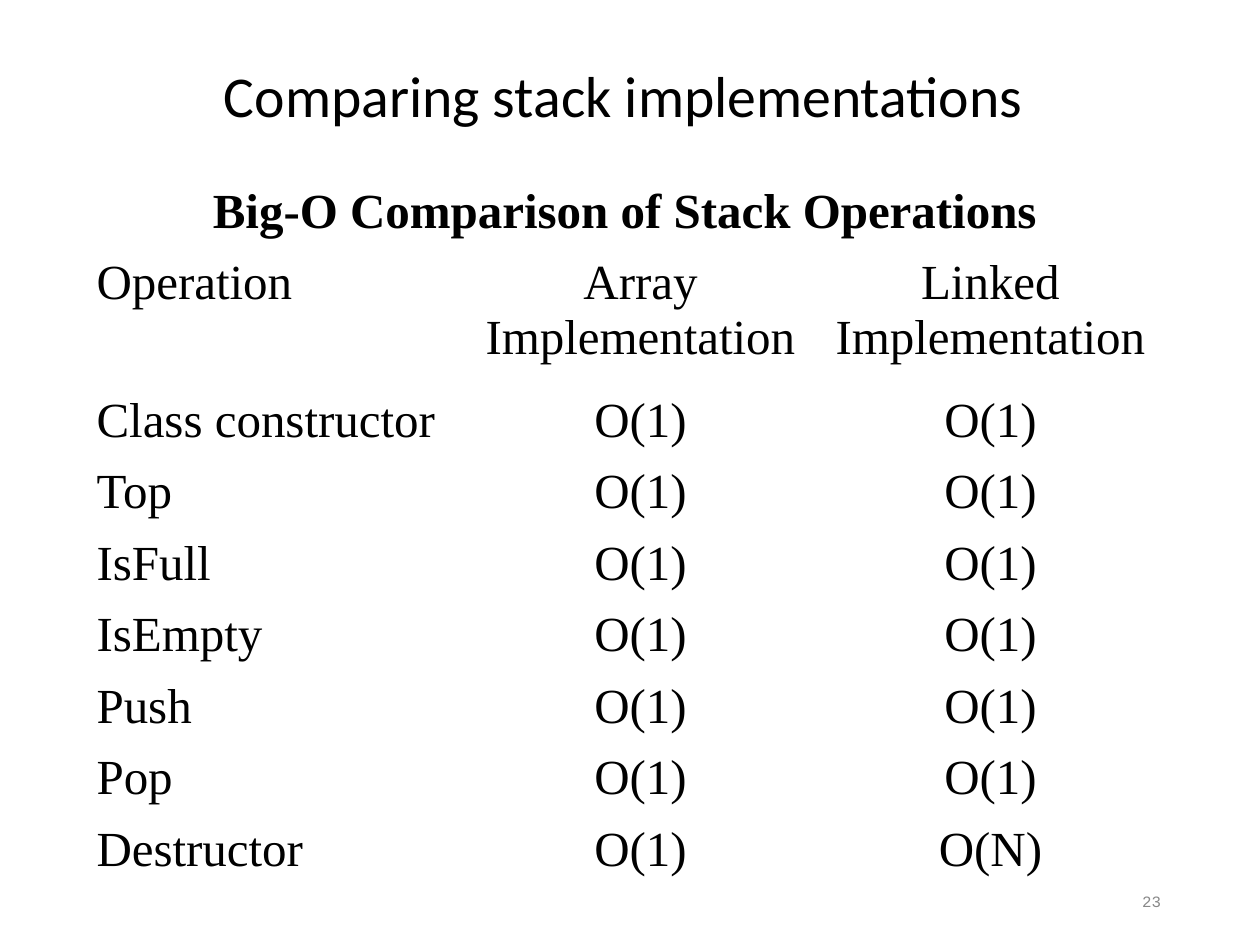
from lxml.etree import SubElement
from pptx import Presentation
from pptx.dml.color import RGBColor
from pptx.enum.text import MSO_ANCHOR, PP_ALIGN
from pptx.oxml.ns import qn
from pptx.util import Pt

COLORS = {"text": "000000", "border": "FFFFFF", "number": "898989"}

TITLE = {"name": "Calibri", "size": Pt(33), "bold": False}
BODY = {"name": "Times New Roman", "size": Pt(28), "bold": False}
HEADING = {**BODY, "bold": True}
NUMBER = {"name": "Courier New", "size": Pt(9), "bold": False}


def write(frame, text, style, color, align):
    paragraph = frame.paragraphs[0]
    paragraph.alignment = align
    run = paragraph.add_run()
    run.text = text
    for attribute, value in style.items():
        setattr(run.font, attribute, value)
    run.font.color.rgb = RGBColor.from_string(COLORS[color])
    return paragraph


def add_borders(cell, color, width):
    properties = cell._tc.get_or_add_tcPr()
    for position, side in enumerate(("lnL", "lnR", "lnT", "lnB")):
        line = properties.makeelement(qn(f"a:{side}"), {"w": str(Pt(width))})
        fill = SubElement(line, qn("a:solidFill"))
        SubElement(fill, qn("a:srgbClr"), val=COLORS[color])
        properties.insert(position, line)


presentation = Presentation()
presentation.slide_width, presentation.slide_height = Pt(720), Pt(540)
slide = presentation.slides.add_slide(presentation.slide_layouts[6])

# Title
title = slide.shapes.add_textbox(Pt(36), Pt(28.8), Pt(648), Pt(55.5)).text_frame
title.word_wrap = True
title.vertical_anchor = MSO_ANCHOR.MIDDLE
title_line = write(title, "Comparing stack implementations ", TITLE, "text", PP_ALIGN.CENTER)
title_line.line_spacing = 0.9

# Comparison table
header = ("Operation", "Array Implementation", "Linked Implementation")
operations = ("Class constructor", "Top", "IsFull", "IsEmpty", "Push", "Pop")
rows = [("Big-O Comparison of Stack Operations",), header]
rows += [(operation, "O(1)", "O(1)") for operation in operations]
rows.append(("Destructor", "O(1)", "O(N)"))

column_widths = (218, 200, 200)
row_heights = [78.5 if row is header else 40.85 for row in rows]

comparison = slide.shapes.add_table(
    len(rows), len(column_widths), Pt(48), Pt(102), Pt(sum(column_widths)), Pt(sum(row_heights))
).table
comparison.first_row = False
comparison.horz_banding = False
for column, width in zip(comparison.columns, column_widths):
    column.width = Pt(width)
for table_row, height in zip(comparison.rows, row_heights):
    table_row.height = Pt(height)

for cell in comparison.iter_cells():
    cell.fill.background()
    add_borders(cell, "border", 0.45)
comparison.cell(0, 0).merge(comparison.cell(0, len(column_widths) - 1))

for row_index, row in enumerate(rows):
    for column_index, text in enumerate(row):
        is_heading = row_index == 0
        centred = is_heading or column_index > 0
        write(
            comparison.cell(row_index, column_index).text_frame,
            text,
            HEADING if is_heading else BODY,
            "text",
            PP_ALIGN.CENTER if centred else PP_ALIGN.LEFT,
        )

# Slide number
number = slide.shapes.add_textbox(Pt(508.5), Pt(500.5), Pt(162), Pt(28.75)).text_frame
number.word_wrap = True
number.vertical_anchor = MSO_ANCHOR.MIDDLE
write(number, "23", NUMBER, "number", PP_ALIGN.RIGHT)

presentation.save("out.pptx")
